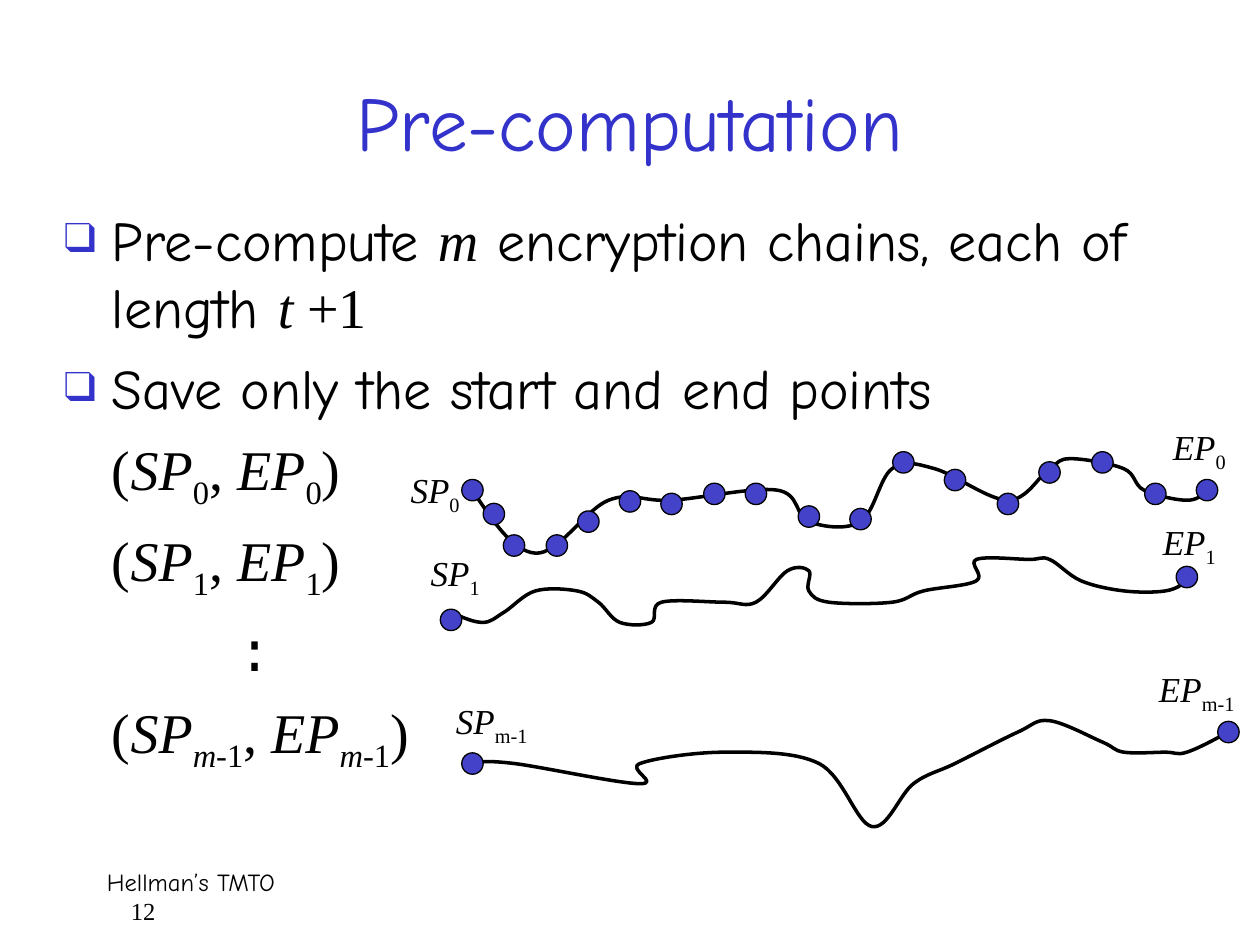
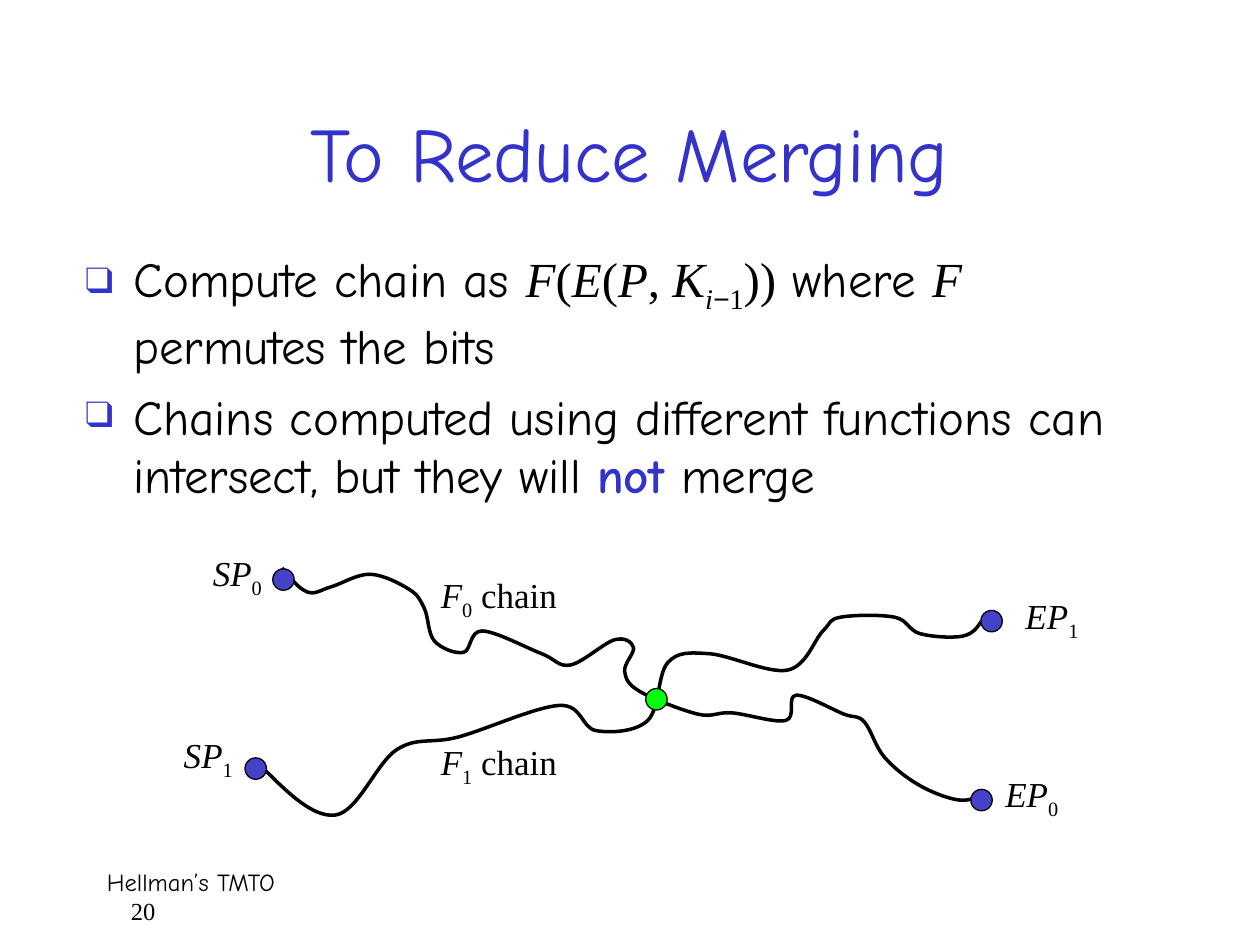
from math import cos, radians, sin

from lxml import etree
from pptx import Presentation
from pptx.dml.color import RGBColor
from pptx.enum.shapes import MSO_SHAPE
from pptx.enum.text import MSO_ANCHOR, MSO_AUTO_SIZE, PP_ALIGN
from pptx.oxml.ns import qn
from pptx.util import Inches, Pt

OVAL = MSO_SHAPE.OVAL
MIDDLE = MSO_ANCHOR.MIDDLE
CENTER = PP_ALIGN.CENTER
NO_FIT, FIT_SHAPE = MSO_AUTO_SIZE.NONE, MSO_AUTO_SIZE.SHAPE_TO_FIT_TEXT

COLORS = {"title": "3333CC", "text": "000000", "point": "4342C9", "crossing": "06FF0E"}
HAND, SERIF = "Comic Neue", "Times New Roman"
DOT_SIZE = 0.17

# Run styles: font name and what differs from plain text
STYLES = {
    "hand": {"font": HAND},
    "strong": {"font": HAND, "bold": True, "color": "title"},
    "serif": {"font": SERIF},
    "math": {"font": SERIF, "italic": True},
    "sub": {"font": SERIF, "sub": True},
    "mathsub": {"font": SERIF, "italic": True, "sub": True},
    "minus": {"font": "Arial", "italic": True, "sub": True},
    "mono": {"font": "Courier New"},
}


def rgb(name):
    return RGBColor.from_string(COLORS[name])


# ---- Text ----
def format_run(run, style_name, size):
    style = STYLES[style_name]
    run.font.name = style["font"]
    run.font.size = Pt(size)
    run.font.italic = style.get("italic", False)
    run.font.bold = style.get("bold", False)
    run.font.color.rgb = rgb(style.get("color", "text"))
    if style.get("sub"):
        run._r.get_or_add_rPr().set("baseline", "-25000")


def add_runs(paragraph, runs, size):
    for text, style_name in runs:
        run = paragraph.add_run()
        run.text = text
        format_run(run, style_name, size)


def set_indent(paragraph, margin, first_line=0):
    properties = paragraph._p.get_or_add_pPr()
    properties.set("marL", str(Inches(margin)))
    properties.set("indent", str(Inches(first_line)))
    return properties


def set_bullet(paragraph):
    properties = set_indent(paragraph, 0.38, -0.38)
    color = etree.SubElement(properties, qn("a:buClr"))
    etree.SubElement(color, qn("a:srgbClr"), val=COLORS["title"])
    etree.SubElement(properties, qn("a:buSzPct"), val="75000")
    etree.SubElement(properties, qn("a:buFont"), typeface=SERIF)
    etree.SubElement(properties, qn("a:buChar"), char="❑")


def add_text_box(slide, box, wrap=True):
    text_box = slide.shapes.add_textbox(*map(Inches, box))
    text_frame = text_box.text_frame
    text_frame.word_wrap = wrap
    text_frame.auto_size = NO_FIT if wrap else FIT_SHAPE
    return text_frame


def add_body(slide, box, items, size, space_before):
    """Each item is (left margin, runs); a margin of None makes a bullet."""
    text_frame = add_text_box(slide, box)
    for index, (margin, runs) in enumerate(items):
        paragraph = text_frame.add_paragraph() if index else text_frame.paragraphs[0]
        paragraph.space_before = Pt(space_before)
        if margin is None:
            set_bullet(paragraph)
        else:
            set_indent(paragraph, margin)
        add_runs(paragraph, runs, size)


def add_footer(slide, number):
    text_frame = add_text_box(slide, (0.75, 6.83, 8.58, 0.5))
    add_runs(text_frame.paragraphs[0], [("Hellman’s TMTO", "hand")], 14)
    number_line = text_frame.add_paragraph()
    set_indent(number_line, 0.19)
    add_runs(number_line, [(str(number), "serif")], 14)


def add_titled_slide(presentation, title, box, number):
    slide = presentation.slides.add_slide(presentation.slide_layouts[5])
    placeholder = slide.shapes.title
    placeholder.left, placeholder.top, placeholder.width, placeholder.height = map(Inches, box)
    text_frame = placeholder.text_frame
    text_frame.text = title
    text_frame.auto_size = NO_FIT
    text_frame.vertical_anchor = MIDDLE
    paragraph = text_frame.paragraphs[0]
    paragraph.alignment = CENTER
    format_run(paragraph.runs[0], "hand", 44)
    paragraph.runs[0].font.color.rgb = rgb("title")
    add_footer(slide, number)
    return slide


# ---- Chain diagrams ----
def turn(point, center, angle):
    dx, dy = point[0] - center[0], point[1] - center[1]
    cosine, sine = cos(radians(angle)), sin(radians(angle))
    return center[0] + dx * cosine - dy * sine, center[1] + dx * sine + dy * cosine


def smooth_segments(knots):
    """Two control points and the end of each curve between neighbouring knots."""
    def middle(first, second):
        return (first[0] + second[0]) / 2, (first[1] + second[1]) / 2

    controls = []
    for (x0, y0), (x, y), (x1, y1) in zip(knots, knots[1:], knots[2:]):
        dx, dy = (x1 - x0) / 6, (y1 - y0) / 6
        controls += [(x - dx, y - dy), (x + dx, y + dy)]
    controls = [middle(knots[0], controls[0]), *controls, middle(controls[-1], knots[-1])]
    return zip(controls[::2], controls[1::2], knots[1:])


def add_chain(slide, origin, knots, angle=0, center=(0, 0)):
    """Draw a smooth chain; a tilted one is laid flat, then rotated about its center."""
    flat = [turn(knot, center, -angle) for knot in knots]
    points = [(Inches(origin[0] + x), Inches(origin[1] + y)) for x, y in flat]
    builder = slide.shapes.build_freeform(*points[0])
    builder.add_line_segments(points[1:], close=False)
    curve = builder.convert_to_shape()
    # Turn the straight segments into curves
    lines = list(curve._element.iter(qn("a:lnTo")))
    for line, segment in zip(lines, smooth_segments(points)):
        bezier = etree.Element(qn("a:cubicBezTo"))
        for x, y in segment:
            etree.SubElement(bezier, qn("a:pt"), x=str(round(x - curve.left)),
                             y=str(round(y - curve.top)))
        line.getparent().replace(line, bezier)
    curve.rotation = angle
    curve.shadow.inherit = False
    curve.fill.background()
    curve.line.color.rgb = rgb("text")
    curve.line.width = Pt(2)


def add_dot(slide, origin, center, color="point"):
    left, top = (origin[axis] + center[axis] - DOT_SIZE / 2 for axis in (0, 1))
    dot = slide.shapes.add_shape(OVAL, *map(Inches, (left, top, DOT_SIZE, DOT_SIZE)))
    dot.shadow.inherit = False
    dot.fill.solid()
    dot.fill.fore_color.rgb = rgb(color)
    dot.line.color.rgb = rgb("text")
    dot.line.width = Pt(0.75)


def add_label(slide, origin, left, top, width, name, index, tail=""):
    text_frame = add_text_box(slide, (origin[0] + left, origin[1] + top, width, 0.48), wrap=False)
    runs = [(name, "math"), (index, "sub")]
    if tail:
        runs.append((tail, "serif"))
    add_runs(text_frame.paragraphs[0], runs, 20)


def add_diagram(slide, origin, chains, dots, labels):
    for chain in chains:
        add_chain(slide, origin, *chain)
    for center in dots:
        add_dot(slide, origin, center)
    for label in labels:
        add_label(slide, origin, *label)


# ---- Slides ----
def point_pair(*index):
    return [("(", "serif"), ("SP", "math"), *index, (", ", "serif"),
            ("EP", "math"), *index, (")", "serif")]


def build_precomputation(presentation):
    slide = add_titled_slide(presentation, "Pre-computation", (0.75, 0.42, 8.5, 1.08), 12)
    add_body(slide, (0.41, 1.58, 8.75, 4.75), [
        (None, [("Pre-compute ", "hand"), ("m", "math"),
                (" encryption chains, each of length ", "hand"),
                ("t ", "math"), ("+1", "serif")]),
        (None, [("Save only the start and end points", "hand")]),
        (0.38, point_pair(("0", "sub"))),
        (0.38, point_pair(("1", "sub"))),
        (1.38, [(":", "mono")]),
        (0.38, point_pair(("m", "mathsub"), ("-1", "sub"))),
    ], 32, 8)

    first_chain = [
        (0.75, 0.89), (1.25, 1.39), (1.83, 0.97), (2.33, 0.97), (3.17, 0.89), (3.42, 1.14),
        (3.83, 1.14), (4.08, 0.72), (4.42, 0.72), (5, 0.97), (5.33, 0.72), (5.5, 0.64),
        (5.92, 0.72), (6.08, 0.89), (6.42, 0.97), (6.58, 0.89)]
    second_chain = [
        (0.58, 1.86), (0.83, 1.94), (1, 1.86), (1.25, 1.69), (1.58, 1.69), (1.75, 1.78),
        (1.92, 1.94), (2.17, 1.94), (2.25, 1.78), (2.75, 1.78), (3, 1.78), (3.25, 1.53),
        (3.42, 1.53), (3.42, 1.69), (3.58, 1.78), (4.08, 1.78), (4.33, 1.69), (4.75, 1.61),
        (4.75, 1.44), (5.17, 1.44), (5.33, 1.44), (5.58, 1.61), (5.92, 1.69), (6.25, 1.69),
        (6.42, 1.61)]
    last_chain = [
        (0.75, 3.06), (1.08, 3.06), (2.08, 3.22), (2.08, 3.06), (2.75, 2.97), (3.5, 3.06),
        (3.92, 3.56), (4.25, 3.22), (4.58, 3.06), (5.08, 2.81), (5.33, 2.72), (5.75, 2.89),
        (5.92, 2.97), (6.25, 2.97), (6.42, 2.97), (6.75, 2.81)]
    first_chain_dots = [
        (0.75, 0.89), (0.92, 1.08), (1.08, 1.33), (1.42, 1.33), (1.67, 1.14), (2, 0.98),
        (2.33, 1), (2.67, 0.92), (3, 0.92), (3.42, 1.1), (3.83, 1.12), (4.17, 0.67),
        (4.58, 0.81), (5, 1), (5.33, 0.75), (5.75, 0.67), (6.17, 0.92), (6.58, 0.89)]
    end_dots = [(0.58, 1.92), (6.42, 1.58), (0.75, 3.06), (6.75, 2.81)]
    labels = [
        (0.16, 0.67, 0.59, "SP", "0"), (6.21, 0.33, 0.62, "EP", "0"),
        (0.32, 1.33, 0.59, "SP", "1"), (6.13, 1.08, 0.62, "EP", "1"),
        (0.52, 2.5, 0.77, "SP", "m-1"), (6.1, 2.25, 0.8, "EP", "m-1")]
    add_diagram(slide, (3, 3), [(first_chain,), (second_chain,), (last_chain,)],
                first_chain_dots + end_dots, labels)


def build_reduce_merging(presentation):
    slide = add_titled_slide(presentation, "To Reduce Merging", (0.75, 0.58, 8.5, 1.25), 20)
    add_body(slide, (0.58, 1.92, 8.58, 2.17), [
        (None, [("Compute chain as ", "hand"), ("F", "math"), ("(", "serif"), ("E", "math"),
                ("(", "serif"), ("P", "math"), (", ", "serif"), ("K", "math"),
                ("i", "mathsub"), ("−", "minus"), ("1", "sub"), ("))", "serif"),
                (" where ", "hand"), ("F", "math"), (" permutes the bits", "hand")]),
        (None, [("Chains computed using different functions can intersect, but they will ",
                 "hand"), ("not", "strong"), (" merge", "hand")]),
    ], 28, 7)

    f1_chain = [
        (1.07, 2.08), (1.66, 2.47), (2.15, 1.95), (2.64, 1.85), (3.44, 1.6), (3.73, 1.8),
        (4.14, 1.72), (4.3, 1.26), (4.63, 1.19), (5.25, 1.32), (5.53, 1.01), (5.67, 0.9),
        (6.1, 0.9), (6.3, 1.03), (6.64, 1.05), (6.79, 0.93)]
    f0_chain = [
        (1.24, 0.51), (1.44, 0.7), (1.63, 0.66), (1.94, 0.56), (2.25, 0.68), (2.37, 0.83),
        (2.45, 1.09), (2.68, 1.18), (2.83, 1.01), (3.3, 1.19), (3.53, 1.28), (3.88, 1.08),
        (4.03, 1.14), (3.96, 1.33), (4.08, 1.49), (4.54, 1.67), (4.81, 1.66), (5.24, 1.72),
        (5.32, 1.52), (5.7, 1.67), (5.86, 1.73), (6.02, 2.01), (6.29, 2.23), (6.6, 2.35),
        (6.8, 2.31)]
    end_dots = [(6.87, 0.93), (1.03, 2.1), (1.25, 0.6), (6.79, 2.35)]
    labels = [
        (0.59, 0.33, 0.59, "SP", "0"), (6.88, 2.08, 0.62, "EP", "0"),
        (0.36, 1.77, 0.59, "SP", "1"), (7.04, 0.67, 0.62, "EP", "1"),
        (2.4, 0.5, 1.24, "F", "0", " chain"), (2.4, 1.83, 1.24, "F", "1", " chain")]
    origin = (1, 4)
    chains = [(f1_chain, -11.4, (3.96, 1.63)), (f0_chain, 21, (4.03, 1.37))]
    add_diagram(slide, origin, chains, end_dots, labels)
    add_dot(slide, origin, (4.21, 1.55), "crossing")


def main():
    presentation = Presentation()
    presentation.slide_width, presentation.slide_height = Inches(10), Inches(7.5)
    build_precomputation(presentation)
    build_reduce_merging(presentation)
    presentation.save("out.pptx")


if __name__ == "__main__":
    main()
